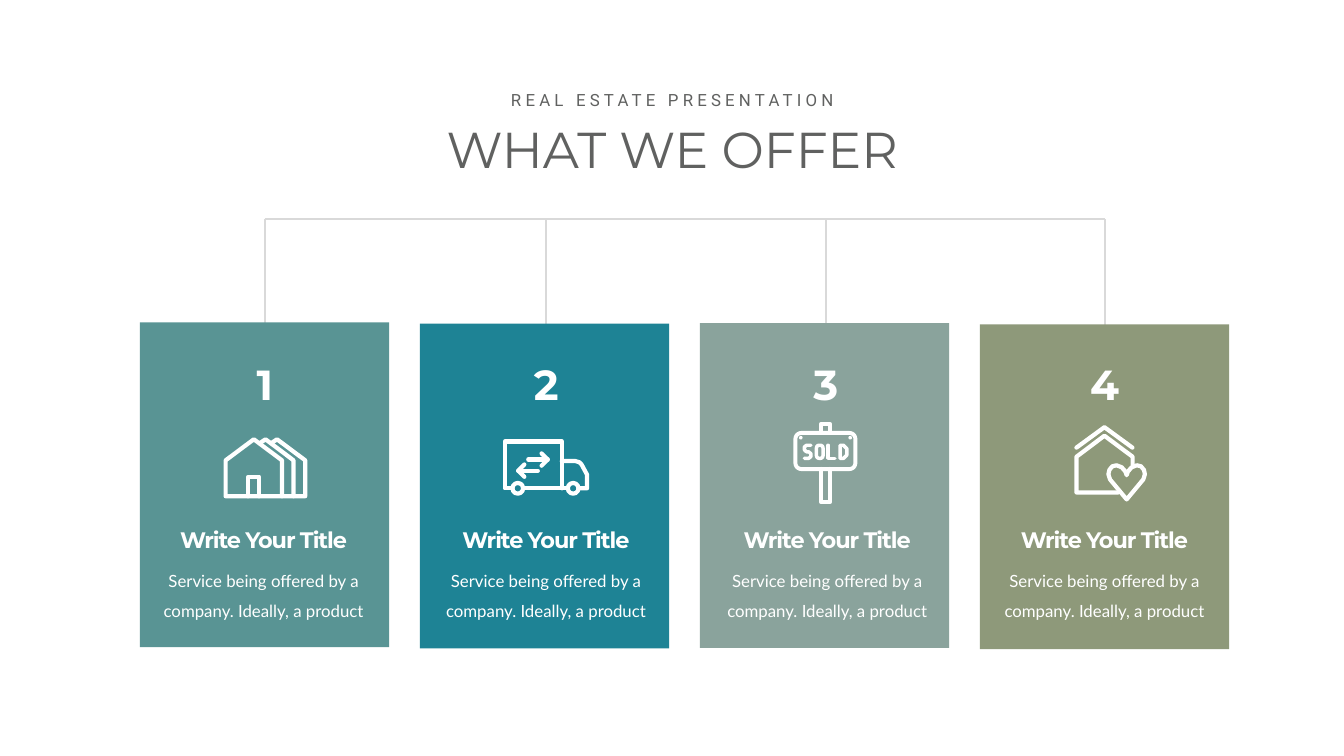
"""Build the "What we offer" slide: four numbered service cards under a bracket."""
from math import cos, radians, sin

from lxml import etree
from pptx import Presentation
from pptx.dml.color import RGBColor
from pptx.enum.shapes import MSO_CONNECTOR, MSO_SHAPE
from pptx.enum.text import MSO_ANCHOR, MSO_AUTO_SIZE, PP_ALIGN
from pptx.oxml.ns import qn
from pptx.util import Cm, Pt

STRAIGHT = MSO_CONNECTOR.STRAIGHT
RECT, ROUNDED, OVAL = MSO_SHAPE.RECTANGLE, MSO_SHAPE.ROUNDED_RECTANGLE, MSO_SHAPE.OVAL
TOP, CENTER, NO_FIT = MSO_ANCHOR.TOP, PP_ALIGN.CENTER, MSO_AUTO_SIZE.NONE
rgb = RGBColor.from_string
WHITE, GREY, RULE = "FFFFFF", "606160", "D9D9D9"


def write(sp, text, size, font, color, bold=False, spacing=0, wrap=True):
    tf = sp.text_frame
    tf.auto_size, tf.word_wrap, tf.vertical_anchor = NO_FIT, wrap, TOP
    p = tf.paragraphs[0]
    p.alignment = CENTER
    r = p.add_run()
    r.text = text
    r.font.size, r.font.name, r.font.bold = Pt(size), font, bold
    r.font.color.rgb = rgb(color)
    if spacing:
        r.font._element.set("spc", str(int(spacing * 100)))
    return tf


def stroke(sp, width):
    sp.shadow.inherit = False
    sp.fill.background()
    sp.line.color.rgb = rgb(WHITE)
    sp.line.width = Pt(width)
    ln = sp._element.spPr.find(qn("a:ln"))
    ln.set("cap", "rnd")
    etree.SubElement(ln, qn("a:round"))


prs = Presentation()
prs.slide_width, prs.slide_height = Cm(67.72), Cm(38.1)
s = prs.slides.add_slide(prs.slide_layouts[5])

title = s.shapes.title
title.left, title.top, title.width, title.height = Cm(21.34), Cm(5.82), Cm(25.07), Cm(3.33)
tf = write(title, "WHAT WE OFFER", 72, "Montserrat", GREY)
tf.paragraphs[0].space_before = Pt(0)
subtitle = s.shapes.add_textbox(Cm(24.97), Cm(4.42), Cm(17.81), Cm(1.27))
write(subtitle, "REAL ESTATE PRESENTATION", 24, "Roboto", GREY, spacing=6)

CARD_LEFT, CARD_PITCH, CARD_W, CARD_H = 7.05, 14.11, 12.56, 16.37
BAR_Y, DROP_Y = 11.02, 17.04
centers = [13.35, 27.52, 41.61, 55.66]
rules = [(x, DROP_Y, x, BAR_Y) for x in centers]
rules.append((centers[0], BAR_Y, centers[-1], BAR_Y))
for ends in rules:
    line = s.shapes.add_connector(STRAIGHT, *[Cm(v) for v in ends])
    line.line.color.rgb = rgb(RULE)
    line.line.width = Pt(2.83)
    etree.SubElement(line._element.spPr, qn("a:effectLst"))

cards = [("599494", 16.25, 13.28), ("1E8395", 16.31, 27.51),
         ("8AA39C", 16.28, 41.68), ("8E997A", 16.35, 55.65)]
for i, (color, top, text_x) in enumerate(cards):
    card = s.shapes.add_shape(RECT, Cm(CARD_LEFT + i * CARD_PITCH), Cm(top), Cm(CARD_W), Cm(CARD_H))
    card.shadow.inherit = False
    card.fill.solid()
    card.fill.fore_color.rgb = rgb(color)
    card.line.fill.background()

    number = s.shapes.add_textbox(Cm(centers[i] - 0.95), Cm(17.96), Cm(1.9), Cm(2.82))
    write(number, str(i + 1), 60, "Montserrat", WHITE, bold=True, wrap=False)
    heading = s.shapes.add_textbox(Cm(text_x - 6.38), Cm(26.39), Cm(12.76), Cm(1.63))
    write(heading, "Write Your Title", 32, "Montserrat", WHITE, bold=True, spacing=-1.5)
    body = s.shapes.add_textbox(Cm(text_x - 6.59), Cm(27.97), Cm(13.18), Cm(3.51))
    tf = write(body, "Service being offered by a company. Ideally, a product", 24, "Lato", WHITE)
    tf.margin_left = tf.margin_right = Cm(0.61)
    tf.margin_top = tf.margin_bottom = Cm(0.3)
    tf.paragraphs[0].line_spacing = Pt(43)

houses = [
    [(11.37, 25.01), (11.37, 23.2), (12.79, 22.14), (14.21, 23.2), (14.21, 25.01), (11.37, 25.01)],
    [(13.08, 22.34), (13.38, 22.14), (14.79, 23.2), (14.79, 25.01)],
    [(13.66, 22.34), (13.96, 22.14), (15.38, 23.2), (15.38, 25.01), (14.21, 25.01)],
    [(12.51, 25.01), (12.51, 24.03), (13.06, 24.03), (13.06, 25.01)],
]
truck = [
    [(25.83, 24.61), (25.43, 24.61), (25.43, 22.25), (28.31, 22.25), (28.31, 24.61)],
    [(26.35, 24.61), (28.62, 24.61)],
    [(28.31, 23.24), (29, 23.24), (29.2, 23.3), (29.31, 23.42), (29.58, 23.92),
     (29.58, 24.61), (29.15, 24.61)],
]
arrow_right = [[(26.62, 23.16), (27.6, 23.16)], [(27.29, 22.85), (27.6, 23.16), (27.29, 23.47)]]
arrow_left = [[(27.1, 23.72), (26.11, 23.72)], [(26.42, 23.41), (26.11, 23.72), (26.42, 24.03)]]
corners = [(1, 1, 0), (-1, 1, 90), (-1, -1, 180), (1, -1, 270)]
board = [(41.59 + 1.21 * side + 0.3 * cos(radians(a)), 22.73 + 0.61 * end + 0.3 * sin(radians(a)))
         for side, end, start in corners for a in range(start, start + 91, 15)]
sign = [
    board + board[:1],
    [(41.38, 21.82), (41.38, 21.36), (41.81, 21.36), (41.81, 21.82)],
    [(41.38, 23.63), (41.38, 25.32), (41.81, 25.32), (41.81, 23.63)],
]
letter_s = [[(40.86, 22.44), (40.64, 22.44), (40.53, 22.53), (40.53, 22.67), (40.64, 22.77),
             (40.75, 22.77), (40.86, 22.87), (40.86, 23.01), (40.75, 23.1), (40.53, 23.1)]]
letter_l = [[(41.73, 22.44), (41.73, 23.1), (42.07, 23.1)]]
letter_d = [[(42.33, 22.44), (42.5, 22.44), (42.67, 22.61), (42.67, 22.93), (42.5, 23.1),
             (42.33, 23.1), (42.33, 22.44)]]
HEART_X = 56.77
half = [(HEART_X, 25.17), (55.93, 24.16), (55.85, 23.9), (55.9, 23.68), (56.05, 23.5),
        (56.26, 23.45), (56.52, 23.55), (56.71, 23.77), (HEART_X, 23.95)]
heart = half + [(2 * HEART_X - x, y) for x, y in reversed(half[:-1])]
roof = [[(54.24, 22.56), (55.65, 21.53), (57.06, 22.56)]]
home = [
    [(56.34, 24.82), (54.24, 24.82), (54.24, 23.02), (55.65, 21.96), (57.07, 23.02), (57.07, 23.4)],
    heart,
]
drawings = [(houses, 6), (truck, 6), (arrow_right, 6), (arrow_left, 6), (sign, 5.6),
            (letter_s, 5), (letter_l, 5), (letter_d, 5), (roof, 6), (home, 6)]
for contours, width in drawings:
    builder = s.shapes.build_freeform(Cm(contours[0][0][0]), Cm(contours[0][0][1]))
    for i, points in enumerate(contours):
        if i:
            builder.move_to(Cm(points[0][0]), Cm(points[0][1]))
        builder.add_line_segments([(Cm(x), Cm(y)) for x, y in points[1:]],
                                  close=points[0] == points[-1])
    stroke(builder.convert_to_shape(), width)

for x in (25.82, 28.61):
    wheel = s.shapes.add_shape(OVAL, Cm(x), Cm(24.34), Cm(0.54), Cm(0.54))
    stroke(wheel, 6)
letter_o = s.shapes.add_shape(ROUNDED, Cm(41.14), Cm(22.44), Cm(0.33), Cm(0.66))
letter_o.adjustments[0] = 0.4
stroke(letter_o, 5)

for x in (40.26, 42.75):
    screw = s.shapes.add_shape(OVAL, Cm(x), Cm(21.97), Cm(0.18), Cm(0.18))
    screw.shadow.inherit = False
    screw.fill.solid()
    screw.fill.fore_color.rgb = rgb(WHITE)
    screw.line.fill.background()

prs.save("out.pptx")
